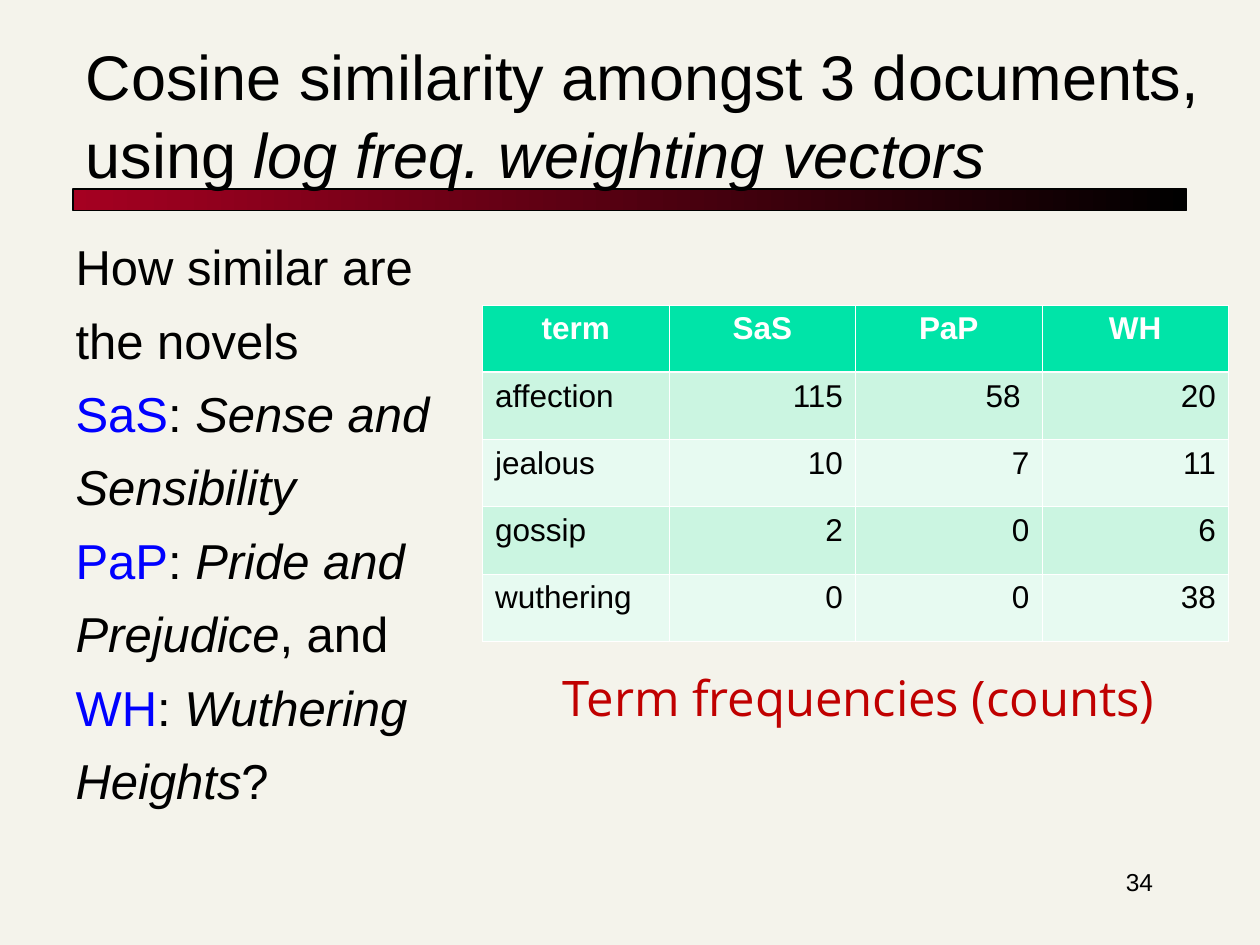
from dataclasses import dataclass

import pptx
import pptx.dml.color
import pptx.enum.shapes
import pptx.enum.text
import pptx.oxml
import pptx.oxml.ns
import pptx.util

Inches = pptx.util.Inches
Pt = pptx.util.Pt
Align = pptx.enum.text.PP_ALIGN


@dataclass(frozen=True)
class Theme:
    font: str = "Arial"
    caption_font: str = "Open Sans"
    background: str = "F4F3EB"
    text: str = "000000"
    white: str = "FFFFFF"
    bar: str = "A50021"
    abbreviation: str = "0000FF"
    caption: str = "C00000"
    header: str = "00E4A8"
    bands: tuple = ("CBF5E1", "E7FAF1")
    title_size: int = 36
    body_size: int = 28
    table_size: int = 18
    number_size: int = 14


theme = Theme()
rgb = pptx.dml.color.RGBColor.from_string


def style(font, size, color, name=theme.font):
    font.name = name
    font.size = Pt(size)
    font.color.rgb = rgb(color)


def add_border(cell, side, width):
    cell._tc.get_or_add_tcPr().append(pptx.oxml.parse_xml(
        f'<a:{side} {pptx.oxml.ns.nsdecls("a")} w="{Pt(width)}"><a:solidFill>'
        f'<a:srgbClr val="{theme.white}"/></a:solidFill></a:{side}>'))


deck = pptx.Presentation()
deck.slide_width, deck.slide_height = Inches(10), Inches(7.5)
slide = deck.slides.add_slide(deck.slide_layouts[1])
slide.background.fill.solid()
slide.background.fill.fore_color.rgb = rgb(theme.background)

# Gradient bar, behind the title
bar = slide.shapes.add_shape(pptx.enum.shapes.MSO_SHAPE.RECTANGLE,
                             Inches(0.58), Inches(1.5), Inches(8.84), Inches(0.17))
bar.shadow.inherit = False
bar.fill.gradient()
bar.fill.gradient_angle = 0
for stop, position, color in zip(bar.fill.gradient_stops, (0, 1), (theme.bar, theme.text)):
    stop.position = position
    stop.color.rgb = rgb(color)
bar.line.color.rgb = rgb(theme.text)
bar.line.width = Pt(0.75)
slide.shapes._spTree.insert(2, bar._element)

# Title
title = slide.shapes.title
title.left, title.top, title.width, title.height = map(Inches, (0.58, 0.3, 9.42, 1.27))
title.text_frame.auto_size = pptx.enum.text.MSO_AUTO_SIZE.NONE
title.text_frame.vertical_anchor = pptx.enum.text.MSO_ANCHOR.BOTTOM
heading = title.text_frame.paragraphs[0]
heading.alignment = Align.LEFT
heading.line_spacing = 1.04
style(heading.font, theme.title_size, theme.text)
heading.add_run().text = "Cosine similarity amongst 3 documents, using "
emphasis = heading.add_run()
emphasis.text = "log freq. weighting vectors"
emphasis.font.italic = True

# Question about the novels: (abbreviation, plain, italic, plain) per line
question_lines = [
    ("", "How similar are", "", ""),
    ("", "the novels", "", ""),
    ("SaS", ": ", "Sense and", ""),
    ("", "", "Sensibility", ""),
    ("PaP", ": ", "Pride and", ""),
    ("", "", "Prejudice", ", and"),
    ("WH", ": ", "Wuthering", ""),
    ("", "", "Heights", "?"),
]
question = slide.placeholders[1]
question.left, question.top, question.width, question.height = map(
    Inches, (0.5, 1.83, 3.29, 5.09))
question.text_frame.auto_size = pptx.enum.text.MSO_AUTO_SIZE.NONE
for index, parts in enumerate(question_lines):
    line = question.text_frame.paragraphs[0] if index == 0 else question.text_frame.add_paragraph()
    properties = line._p.get_or_add_pPr()
    properties.set("marL", "0")
    properties.set("indent", "0")
    properties.append(pptx.oxml.parse_xml(f'<a:buNone {pptx.oxml.ns.nsdecls("a")}/>'))
    line.space_before = Pt(8.3 if index else 0)
    style(line.font, theme.body_size, theme.text)
    for place, words in enumerate(parts):
        if words:
            run = line.add_run()
            run.text = words
            if place == 0:
                run.font.color.rgb = rgb(theme.abbreviation)
            elif place == 2:
                run.font.italic = True

# Term counts
counts = [
    ("term", "SaS", "PaP", "WH"),
    ("affection", "115", "58 ", "20"),
    ("jealous", "10", "7", "11"),
    ("gossip", "2", "0", "6"),
    ("wuthering", "0", "0", "38"),
]
count_table = slide.shapes.add_table(len(counts), len(counts[0]), Inches(3.83), Inches(2.42),
                                     Inches(5.92), Inches(2.67)).table
for r, row in enumerate(counts):
    for c, value in enumerate(row):
        cell = count_table.cell(r, c)
        cell.text = value
        entry = cell.text_frame.paragraphs[0]
        style(entry.font, theme.table_size, theme.text if r else theme.white)
        entry.font.bold = r == 0
        entry.alignment = Align.CENTER if r == 0 else Align.RIGHT if c else Align.LEFT
        for side in ("lnL", "lnR", "lnT", "lnB"):
            under_header = (r, side) in ((0, "lnB"), (1, "lnT"))
            add_border(cell, side, 1.47 if under_header else 0.45)
        cell.fill.solid()
        cell.fill.fore_color.rgb = rgb(theme.bands[(r - 1) % 2] if r else theme.header)

# Table caption
caption = slide.shapes.add_textbox(Inches(4.37), Inches(5.25), Inches(4.96), Inches(0.57))
caption.text_frame.word_wrap = False
caption.text_frame.text = "Term frequencies (counts)"
style(caption.text_frame.paragraphs[0].font, theme.body_size, theme.caption, theme.caption_font)

# Slide number
number = slide.shapes.add_textbox(Inches(7.17), Inches(6.83), Inches(2.08), Inches(0.5))
number.text_frame.word_wrap = True
number.text_frame.text = "34"
number.text_frame.paragraphs[0].alignment = Align.RIGHT
style(number.text_frame.paragraphs[0].font, theme.number_size, theme.text)

deck.save("out.pptx")
